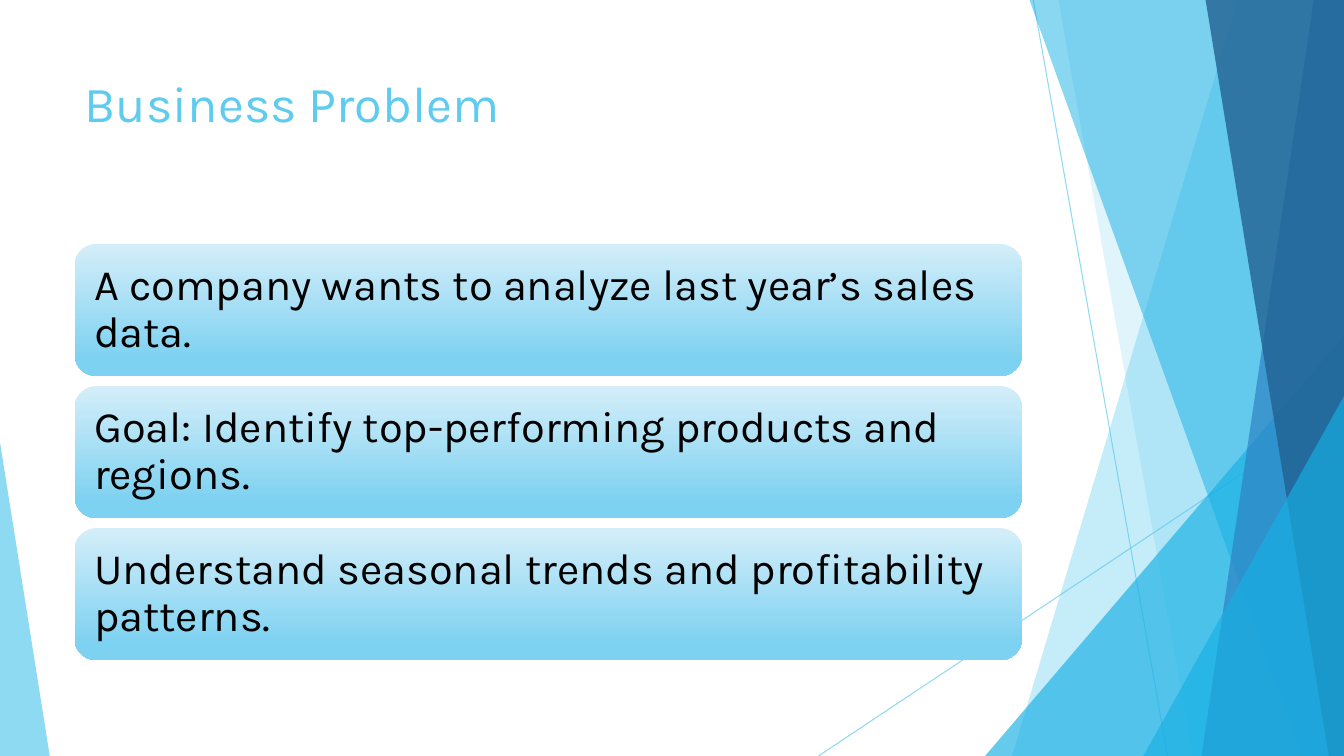
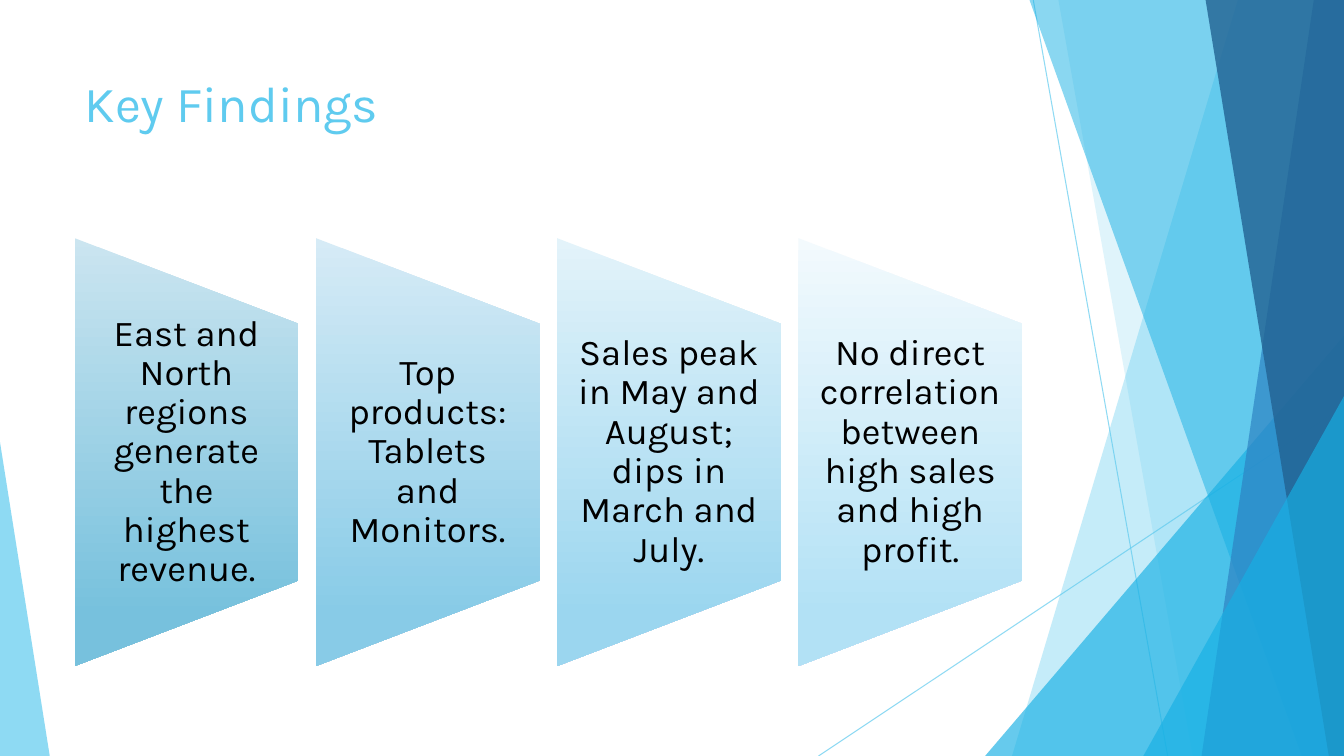
from dataclasses import dataclass
from typing import Any

import pptx
import pptx.dml.color
import pptx.enum.shapes
import pptx.enum.text
import pptx.oxml
import pptx.oxml.ns
import pptx.util

SHAPES = pptx.enum.shapes.MSO_SHAPE
ANCHORS = pptx.enum.text.MSO_ANCHOR
ALIGNMENTS = pptx.enum.text.PP_ALIGN
SLIDE_WIDTH = pptx.util.Inches(13.33)
SLIDE_HEIGHT = pptx.util.Inches(7.5)


@dataclass(frozen=True)
class Theme:
    font: str = "Karla"
    sky: str = "5FCBEF"
    cyan: str = "17B0E4"
    blue: str = "2E83C3"
    navy: str = "226292"
    text: str = "000000"
    row_gradient: tuple[str, str] = ("D4EEF9", "7DD1F1")
    gradient_end: float = 0.88
    title_size: float = 36
    row_size: float = 31
    panel_size: float = 26
    hairline: float = 0.75


THEME = Theme()


@dataclass(frozen=True)
class Area:
    """A rectangle in percent of the slide's width and height."""
    left: float
    top: float
    width: float
    height: float

    def emu(self) -> tuple[int, int, int, int]:
        return (across(self.left), down(self.top),
                across(self.width), down(self.height))

    def row(self, index: int, count: int, gap: float) -> "Area":
        height = (self.height - gap * (count - 1)) / count
        return Area(self.left, self.top + index * (height + gap), self.width, height)

    def column(self, index: int, count: int, gap: float) -> "Area":
        width = (self.width - gap * (count - 1)) / count
        return Area(self.left + index * (width + gap), self.top, width, self.height)

    def middle(self, share: float) -> "Area":
        """The vertically centred part of this area."""
        return Area(self.left, self.top + self.height * (1 - share) / 2,
                    self.width, self.height * share)


@dataclass(frozen=True)
class Band:
    """A full-height facet from a slanted left edge to the slide's right edge."""
    top_left: float
    bottom_left: float
    color: str
    opacity: int


@dataclass(frozen=True)
class Triangle:
    """A facet standing on the slide's bottom edge."""
    left: float
    top: float
    width: float
    apex: float
    color: str
    opacity: int


@dataclass(frozen=True)
class Hairline:
    start: tuple[float, float]
    end: tuple[float, float]


@dataclass(frozen=True)
class Panel:
    text: str
    gradient: tuple[str, str]


TITLE_AREA = Area(5.55, 8.93, 70.5, 19.2)
ROWS_AREA = Area(5.55, 32.27, 70.5, 55.07)
PANELS_AREA = Area(5.55, 31.5, 70.5, 56.6)
ROW_GAP = 1.33
PANEL_GAP = 1.3
PANEL_TEXT_SHARE = 0.6

HAIRLINES = (
    Hairline((76.88, 0), (86.88, 100)),
    Hairline((100, 53.7), (60.9, 100)),
)
FACETS = (
    Band(92.1, 75.3, THEME.sky, 36),
    Band(78.75, 88.75, THEME.sky, 20),
    Triangle(73.3, 44.4, 26.7, 1, THEME.cyan, 66),
    Band(76.6, 96.85, THEME.cyan, 50),
    Band(97.75, 89.4, THEME.blue, 70),
    Band(89.7, 98.87, THEME.navy, 80),
    Triangle(85.07, 52.4, 14.93, 1, THEME.cyan, 66),
    Triangle(0, 58.5, 3.7, 0, THEME.sky, 70),
)
PROBLEM_ROWS = (
    "A company wants to analyze last year’s sales data.",
    "Goal: Identify top-performing products and regions.",
    "Understand seasonal trends and profitability patterns.",
)
FINDINGS = (
    Panel("East and North regions generate the highest revenue.", ("CBE5F0", "77C1DD")),
    Panel("Top products: Tablets and Monitors.", ("D6EBF6", "88CBE7")),
    Panel("Sales peak in May and August; dips in March and July.", ("E3F3FA", "9BD6EF")),
    Panel("No direct correlation between high sales and high profit.", ("F3FAFD", "B2E1F5")),
)


def across(percent: float) -> int:
    return round(SLIDE_WIDTH * percent / 100)


def down(percent: float) -> int:
    return round(SLIDE_HEIGHT * percent / 100)


def rgb(color: str) -> pptx.dml.color.RGBColor:
    return pptx.dml.color.RGBColor.from_string(color)


def apply(target: Any, values: dict[str, Any]) -> None:
    for name, value in values.items():
        setattr(target, name, value)


def set_opacity(fill_parent: Any, opacity: int) -> None:
    color = next(fill_parent.iter(pptx.oxml.ns.qn("a:srgbClr")))
    alpha = color.makeelement(pptx.oxml.ns.qn("a:alpha"), {"val": str(opacity * 1000)})
    color.append(alpha)


def fill_solid(shape: Any, color: str, opacity: int) -> None:
    shape.shadow.inherit = False
    shape.line.fill.background()
    shape.fill.solid()
    shape.fill.fore_color.rgb = rgb(color)
    set_opacity(shape.fill._xPr, opacity)


def fill_gradient(shape: Any, colors: tuple[str, str]) -> None:
    """Fill from top to bottom of the slide, whatever the shape's rotation."""
    shape.shadow.inherit = False
    shape.line.fill.background()
    shape.fill.gradient()
    shape.fill.gradient_angle = 270
    positions = (0, THEME.gradient_end)
    for stop, color, position in zip(shape.fill.gradient_stops, colors, positions):
        stop.color.rgb = rgb(color)
        stop.position = position
    gradient = shape.fill._xPr.find(pptx.oxml.ns.qn("a:gradFill"))
    gradient.set("rotWithShape", "0")


def write_text(shape: Any, text: str, size: float, color: str,
               frame_format: dict[str, Any], paragraph_format: dict[str, Any]) -> None:
    frame = shape.text_frame
    apply(frame, {"word_wrap": True, **frame_format})
    paragraph = frame.paragraphs[0]
    paragraph.text = text
    apply(paragraph, paragraph_format)
    apply(paragraph.font, {"name": THEME.font, "size": pptx.util.Pt(size)})
    paragraph.font.color.rgb = rgb(color)


def margins(horizontal: float, vertical: float) -> dict[str, Any]:
    sides = {"left": horizontal, "right": horizontal, "top": vertical, "bottom": vertical}
    return {f"margin_{side}": pptx.util.Inches(inset) for side, inset in sides.items()}


def draw_hairline(slide: Any, hairline: Hairline) -> None:
    (start_x, start_y), (end_x, end_y) = hairline.start, hairline.end
    connector = slide.shapes.add_connector(
        pptx.enum.shapes.MSO_CONNECTOR.STRAIGHT,
        across(start_x), down(start_y), across(end_x), down(end_y))
    connector.line.width = pptx.util.Pt(THEME.hairline)
    connector.line.color.rgb = rgb(THEME.sky)
    properties = connector._element.spPr
    set_opacity(properties, 70)
    properties.append(pptx.oxml.parse_xml(
        f"<a:effectLst {pptx.oxml.ns.nsdecls('a')}/>"))


def draw_facet(slide: Any, facet: Band | Triangle) -> None:
    if isinstance(facet, Band):
        builder = slide.shapes.build_freeform(across(facet.top_left), 0)
        corners = ((100, 0), (100, 100), (facet.bottom_left, 100))
        builder.add_line_segments([(across(x), down(y)) for x, y in corners], close=True)
        shape = builder.convert_to_shape()
    else:
        area = Area(facet.left, facet.top, facet.width, 100 - facet.top)
        shape = slide.shapes.add_shape(SHAPES.ISOSCELES_TRIANGLE, *area.emu())
        shape.adjustments[0] = facet.apex
    fill_solid(shape, facet.color, facet.opacity)


def add_base_slide(presentation: Any, title: str) -> Any:
    """Add a slide with the shared facets and title."""
    slide = presentation.slides.add_slide(presentation.slide_layouts[6])
    for hairline in HAIRLINES:
        draw_hairline(slide, hairline)
    for facet in FACETS:
        draw_facet(slide, facet)
    title_box = slide.shapes.add_textbox(*TITLE_AREA.emu())
    write_text(title_box, title, THEME.title_size, THEME.sky,
               {"vertical_anchor": ANCHORS.TOP}, {})
    return slide


def draw_row(slide: Any, area: Area, text: str) -> None:
    shape = slide.shapes.add_shape(SHAPES.ROUNDED_RECTANGLE, *area.emu())
    fill_gradient(shape, THEME.row_gradient)
    write_text(shape, text, THEME.row_size, THEME.text,
               {"vertical_anchor": ANCHORS.MIDDLE, **margins(0.13, 0.13)},
               {"alignment": ALIGNMENTS.LEFT, "line_spacing": 0.9})


def draw_panel(slide: Any, area: Area, panel: Panel) -> None:
    left, top, width, height = area.emu()
    shift = (height - width) // 2
    shape = slide.shapes.add_shape(
        SHAPES.FLOWCHART_MANUAL_OPERATION, left - shift, top + shift, height, width)
    shape.rotation = 270
    fill_gradient(shape, panel.gradient)
    text_box = slide.shapes.add_textbox(*area.middle(PANEL_TEXT_SHARE).emu())
    write_text(text_box, panel.text, THEME.panel_size, THEME.text,
               {"vertical_anchor": ANCHORS.MIDDLE, **margins(0.18, 0)},
               {"alignment": ALIGNMENTS.CENTER, "line_spacing": 0.9})


def main() -> None:
    presentation = pptx.Presentation()
    apply(presentation, {"slide_width": SLIDE_WIDTH, "slide_height": SLIDE_HEIGHT})

    problem = add_base_slide(presentation, "Business Problem")
    for index, text in enumerate(PROBLEM_ROWS):
        draw_row(problem, ROWS_AREA.row(index, len(PROBLEM_ROWS), ROW_GAP), text)

    findings = add_base_slide(presentation, "Key Findings")
    for index, panel in enumerate(FINDINGS):
        draw_panel(findings, PANELS_AREA.column(index, len(FINDINGS), PANEL_GAP), panel)

    presentation.save("out.pptx")


if __name__ == "__main__":
    main()
